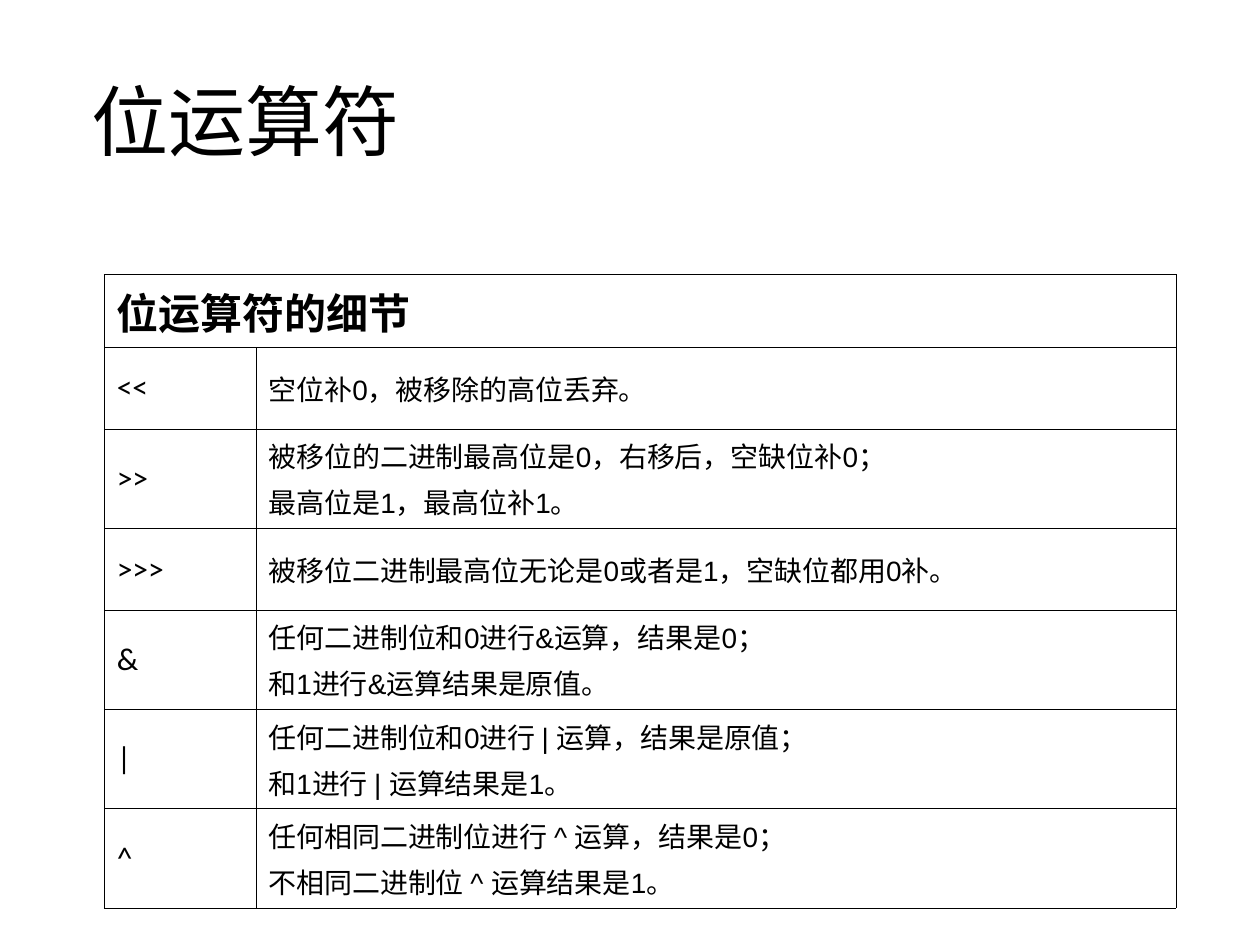
from lxml.etree import SubElement
from pptx import Presentation
from pptx.dml.color import RGBColor
from pptx.enum.text import MSO_ANCHOR
from pptx.oxml.ns import qn
from pptx.util import Cm, Pt

COLORS = {"ink": "000000", "paper": "FFFFFF"}

OPERATORS = [
    ("<<", ["空位补0，被移除的高位丢弃。"]),
    (">>", ["被移位的二进制最高位是0，右移后，空缺位补0；", "最高位是1，最高位补1。"]),
    (">>>", ["被移位二进制最高位无论是0或者是1，空缺位都用0补。"]),
    ("&", ["任何二进制位和0进行&运算，结果是0；", "和1进行&运算结果是原值。"]),
    ("|", ["任何二进制位和0进行 | 运算，结果是原值；", "和1进行 | 运算结果是1。"]),
    ("^", ["任何相同二进制位进行 ^ 运算，结果是0；", "不相同二进制位 ^ 运算结果是1。"]),
]


def write_lines(frame, lines, font_name, size, bold=False):
    frame.text = "\n".join(lines)
    for paragraph in frame.paragraphs:
        paragraph.font.name = font_name
        paragraph.font.size = Pt(size)
        paragraph.font.bold = bold
        paragraph.font.color.rgb = RGBColor.from_string(COLORS["ink"])
        paragraph.space_before = Pt(size * 0.2)


def style_cell(cell):
    cell.vertical_anchor = MSO_ANCHOR.MIDDLE
    properties = cell._tc.get_or_add_tcPr()
    for side in ("a:lnL", "a:lnR", "a:lnT", "a:lnB"):
        border = SubElement(properties, qn(side), w=str(Pt(0.25)))
        border_fill = SubElement(border, qn("a:solidFill"))
        SubElement(border_fill, qn("a:srgbClr"), val=COLORS["ink"])
    cell.fill.solid()
    cell.fill.fore_color.rgb = RGBColor.from_string(COLORS["paper"])


presentation = Presentation()
presentation.slide_width = Cm(25.4)
presentation.slide_height = Cm(19.05)
slide = presentation.slides.add_slide(presentation.slide_layouts[6])

# Title
title = slide.shapes.add_textbox(Cm(1.6), Cm(0.84), Cm(22.22), Cm(3.38)).text_frame
title.word_wrap = True
title.vertical_anchor = MSO_ANCHOR.MIDDLE
write_lines(title, ["位运算符"], "Calibri", 44)
title.paragraphs[0].line_spacing = 0.9
title.paragraphs[0].space_before = Pt(0)

# Table grid: a header row, then taller rows for two-line descriptions
details = slide.shapes.add_table(
    len(OPERATORS) + 1, 2, Cm(2.1), Cm(5.53), Cm(21.61), Cm(12.77)
).table
details.columns[0].width = Cm(3.06)
details.columns[1].width = Cm(18.55)
details.rows[0].height = Cm(1.47)
for cell in details.iter_cells():
    style_cell(cell)

# Header across both columns
header = details.cell(0, 0)
header.merge(details.cell(0, 1))
write_lines(header.text_frame, ["位运算符的细节"], "Arial", 24, bold=True)

# One row per operator
for row, (operator, description) in enumerate(OPERATORS, start=1):
    details.rows[row].height = Cm(1.65 if len(description) == 1 else 2)
    write_lines(details.cell(row, 0).text_frame, [operator], "Calibri", 18)
    write_lines(details.cell(row, 1).text_frame, description, "Arial", 16)

presentation.save("out.pptx")
